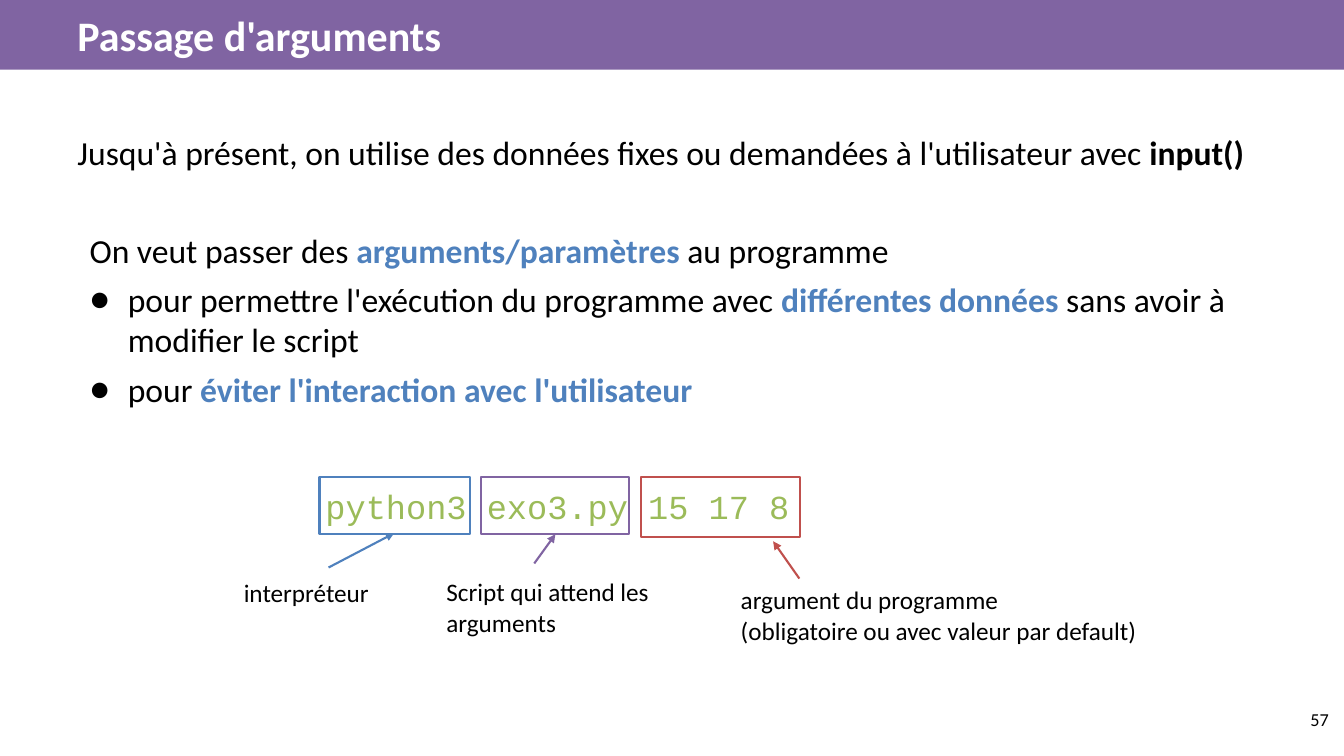
from pptx import Presentation
from pptx.dml.color import RGBColor
from pptx.enum.shapes import MSO_CONNECTOR as Connector, MSO_SHAPE as Shape
from pptx.enum.text import MSO_ANCHOR as Anchor, PP_ALIGN as Align
from pptx.oxml.ns import qn
from pptx.util import Emu, Inches, Pt
from lxml.etree import SubElement

BLACK = RGBColor(0x00, 0x00, 0x00)
WHITE = RGBColor(0xFF, 0xFF, 0xFF)
BLUE = RGBColor(0x4F, 0x81, 0xBD)
PURPLE = RGBColor(0x80, 0x64, 0xA2)
RED = RGBColor(0xC0, 0x50, 0x4D)
GREEN = RGBColor(0x9B, 0xBB, 0x59)

COLUMNS, ROWS = 133.33, 75
CELL = Inches(0.1)


def cells(*counts):
    return [Emu(round(count * CELL)) for count in counts]


def apply(target, values):
    for name, value in values.items():
        setattr(target, name, value)


class SlideWriter:
    """Draws on one blank slide; every length is a count of grid cells."""

    font = "Calibri"
    line_width = Pt(1.5)

    def __init__(self, deck):
        self.page = deck.slides.add_slide(deck.slide_layouts[6])

    def rectangle(self, area, fill=None, line=None):
        box = self.page.shapes.add_shape(Shape.RECTANGLE, *cells(*area))
        box.shadow.inherit = False
        if fill is None:
            box.fill.background()
        else:
            box.fill.solid()
            box.fill.fore_color.rgb = fill
        if line is None:
            box.line.fill.background()
        else:
            box.line.color.rgb = line
            box.line.width = self.line_width

    def arrow(self, start, end, color):
        link = self.page.shapes.add_connector(
            Connector.STRAIGHT, *cells(*start, *end))
        link.line.color.rgb = color
        link.line.width = self.line_width
        SubElement(link.line._get_or_add_ln(), qn("a:tailEnd"), type="triangle")
        SubElement(link._element.spPr, qn("a:effectLst"))

    def text(self, area, paragraphs, size, color=BLACK, bold=False,
             font=None, anchor=Anchor.TOP, align=Align.LEFT, inset=1):
        """Each paragraph is a string or a (spans, layout) pair."""
        frame = self.page.shapes.add_textbox(*cells(*area)).text_frame
        side, edge = cells(1, inset)
        apply(frame, dict(word_wrap=True, vertical_anchor=anchor,
                          margin_left=side, margin_right=side,
                          margin_top=edge, margin_bottom=edge))
        for index, item in enumerate(paragraphs):
            spans, layout = ([item], {}) if isinstance(item, str) else item
            para = frame.paragraphs[0] if index == 0 else frame.add_paragraph()
            para.alignment = align
            self.indent(para, **layout)
            for part in spans:
                words, look = (part, {}) if isinstance(part, str) else part
                span = para.add_run()
                span.text = words
                apply(span.font, dict(name=font or self.font, size=Pt(size),
                                      bold=look.get("bold", bold)))
                span.font.color.rgb = look.get("color", color)

    def indent(self, para, left=0, hanging=0, before=0, bullet=None):
        properties = para._p.get_or_add_pPr()
        margin, first = cells(left, -hanging)
        properties.set("marL", str(margin))
        properties.set("indent", str(first))
        if bullet:
            tint = SubElement(properties, qn("a:buClr"))
            SubElement(tint, qn("a:srgbClr"), val=str(BLACK))
            SubElement(properties, qn("a:buFont"), typeface=self.font)
            SubElement(properties, qn("a:buChar"), char=bullet)
        para.space_before = Pt(before)


def key(words):
    return words, dict(color=BLUE, bold=True)


BULLET = dict(left=5, hanging=3.8, before=6.4, bullet="●")
BODY = [
    (["Jusqu'à présent, on utilise des données fixes ou demandées à "
      "l'utilisateur avec ", ("input()", dict(bold=True))], {}),
    (["On veut passer des ", key("arguments/paramètres"), " au programme"],
     dict(left=1.2, before=41)),
    (["pour permettre l'exécution du programme avec ",
      key("différentes données"), " sans avoir à modifier le script"], BULLET),
    (["pour ", key("éviter l'interaction avec l'utilisateur")], BULLET),
]

# colour, frame, arrow start, arrow end, label area, label lines
COMMAND_PARTS = [
    (BLUE, (31.7, 47.3, 14.9, 5.7), (32.6, 56.3), (39.1, 52.9),
     (23.2, 56.3, 18.7, 4.5), ["interpréteur"]),
    (PURPLE, (47.7, 47.3, 14.7, 5.7), (53, 55.9), (55.1, 53),
     (43.3, 56.2, 22.8, 6.8), ["Script qui attend les arguments"]),
    (RED, (63.6, 47.3, 15.8, 6), (79.3, 57.4), (76.7, 53.7),
     (72.5, 57, 44.5, 7.8),
     ["argument du programme", "(obligatoire ou avec valeur par default)"]),
]


def main():
    deck = Presentation()
    deck.slide_width, deck.slide_height = cells(COLUMNS, ROWS)
    writer = SlideWriter(deck)

    writer.rectangle((0, 0, COLUMNS, 6.9), fill=PURPLE)
    writer.text((6.7, 0, COLUMNS - 6.7, 6.9), ["Passage d'arguments"], 30,
                color=WHITE, bold=True, anchor=Anchor.MIDDLE)
    writer.text((6.7, 12.1, 120, 30.7), BODY, 24)
    writer.text((124.8, 69.3, 8, 5.7), ["57"], 13, align=Align.RIGHT)

    for color, frame, start, end, label_area, label in COMMAND_PARTS:
        writer.rectangle(frame, line=color)
        writer.arrow(start, end, color)
        writer.text(label_area, label, 18)
    writer.text((31.3, 47.7, 60.8, 5), ["python3 exo3.py 15 17 8"], 24,
                color=GREEN, font="Courier New", inset=0.5)

    deck.save("out.pptx")


if __name__ == "__main__":
    main()
